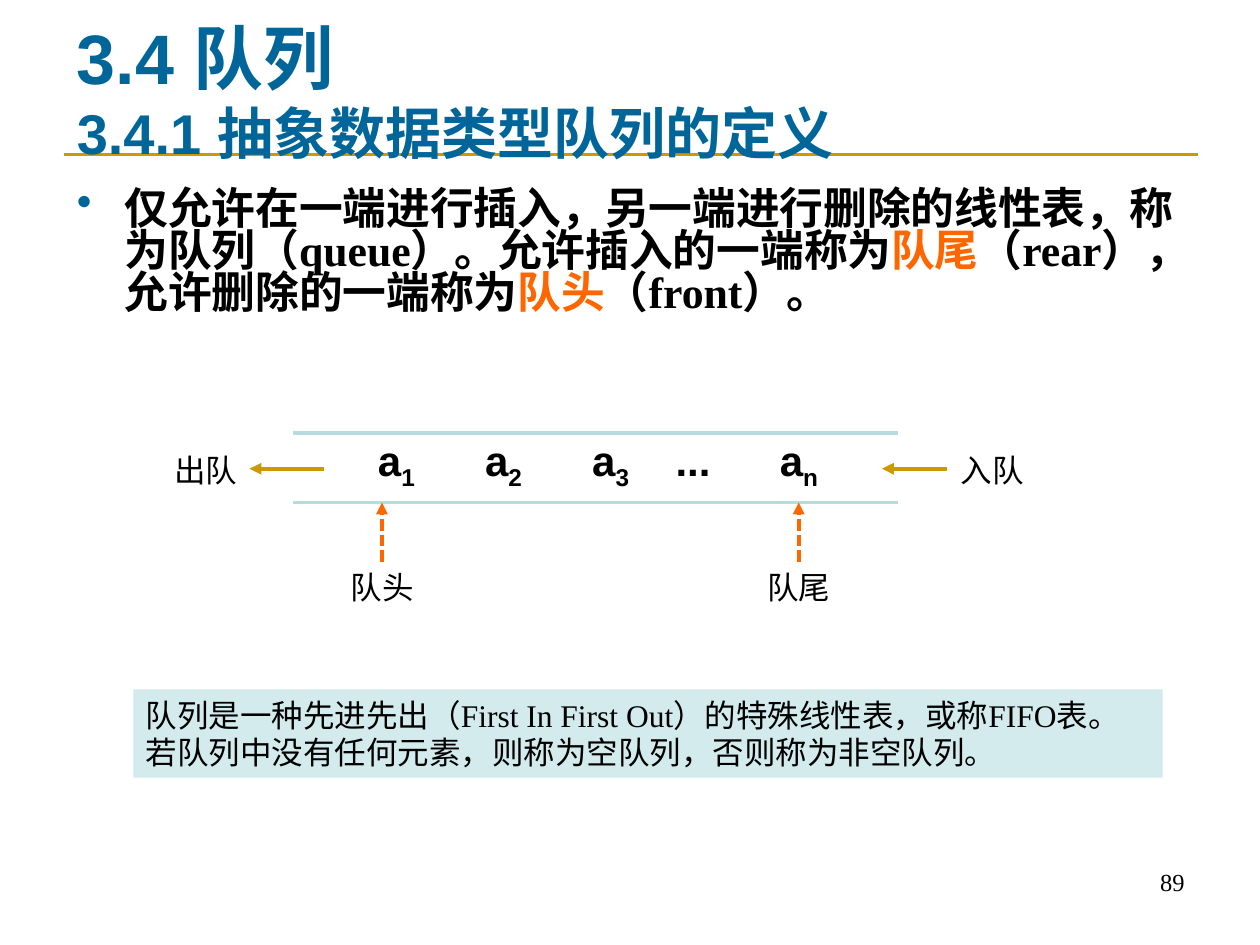
"""Build the slide that defines the queue abstract data type."""
from dataclasses import dataclass
from typing import Optional

import lxml.etree
import pptx
import pptx.dml.color
import pptx.enum.dml
import pptx.enum.lang
import pptx.enum.shapes
import pptx.enum.text
import pptx.oxml.ns
import pptx.util

Cm = pptx.util.Cm
qn = pptx.oxml.ns.qn
ALIGN = pptx.enum.text.PP_ALIGN
ANCHOR = pptx.enum.text.MSO_ANCHOR

COLORS = {
    "title": "006699",
    "text": "000000",
    "accent": "FE6700",
    "gold": "CC9900",
    "rail": "B6DCDF",
    "panel": "9ED3D7",
}


@dataclass(frozen=True)
class Style:
    """Character look of a span."""
    size: float
    font: str = "Times New Roman"
    color: str = "text"
    bold: bool = False


@dataclass(frozen=True)
class Area:
    """Rectangle in centimetres."""
    left: float
    top: float
    width: float
    height: float

    def lengths(self) -> tuple:
        """Return the four sides as lengths."""
        return tuple(Cm(side) for side in (self.left, self.top, self.width, self.height))


@dataclass(frozen=True)
class Line:
    """Straight line in centimetres, with an optional head at its end."""
    start: tuple[float, float]
    end: tuple[float, float]
    color: str
    weight: float = 2.25
    dashed: bool = False
    arrow: bool = False


@dataclass(frozen=True)
class Label:
    """Short caption of the queue diagram."""
    text: str
    left: float
    top: float


TITLE = Style(40, "Arial", "title", True)
SUBTITLE = Style(32, "Arial", "title", True)
BODY = Style(25, bold=True)
KEYWORD = Style(25, color="accent", bold=True)
ITEM = Style(24, "Arial", bold=True)
CAPTION = Style(18, "Arial")
NOTE = Style(18)
NUMBER = Style(14)

RAIL_TOP, RAIL_BOTTOM = 8.73, 10.13
FLOW_Y = 9.45
POINTER_START = 11.33

LINES = [
    Line((1.3, 3.12), (24.16, 3.12), "gold", 1.5),
    *(Line((5.9, y), (18.1, y), "rail") for y in (RAIL_TOP, RAIL_BOTTOM)),
    *(Line((start, FLOW_Y), (end, FLOW_Y), "gold", arrow=True)
      for start, end in ((6.53, 5.03), (19.1, 17.78))),
    *(Line((x, POINTER_START), (x, RAIL_BOTTOM), "accent", dashed=True, arrow=True)
      for x in (7.7, 16.1)),
]

LABELS = [
    Label("出队", 3.25, 8.97),
    Label("入队", 19.1, 8.97),
    Label("队头", 6.81, POINTER_START),
    Label("队尾", 15.2, POINTER_START),
]

DEFINITION = [
    ("仅允许在一端进行插入，另一端进行删除的线性表，称为队列（queue）。允许插入的一端称为", BODY),
    ("队尾", KEYWORD),
    ("（rear），允许删除的一端称为", BODY),
    ("队头", KEYWORD),
    ("（front）。", BODY),
]

ITEMS = [("a", "1"), ("\ta", "2"), ("\ta", "3"), ("\t...", ""), ("\ta", "n")]
ITEM_TABS = [2.16, 4.32, 6.0, 8.1]

NOTES = [
    "队列是一种先进先出（First In First Out）的特殊线性表，或称FIFO表。",
    "若队列中没有任何元素，则称为空队列，否则称为非空队列。",
]


def rgb(name: str) -> pptx.dml.color.RGBColor:
    """Look up a named colour."""
    return pptx.dml.color.RGBColor.from_string(COLORS[name])


def add_span(para, text: str, style: Style, subscript: bool = False) -> None:
    """Append one styled run."""
    span = para.add_run()
    span.text = text
    span.font.size = pptx.util.Pt(style.size)
    span.font.name = style.font
    span.font.bold = style.bold
    span.font.color.rgb = rgb(style.color)
    span.font.language_id = pptx.enum.lang.MSO_LANGUAGE_ID.SIMPLIFIED_CHINESE
    if subscript:
        span._r.get_or_add_rPr().set("baseline", "-25000")


def add_box(page, area: Area, anchor=ANCHOR.TOP, align=ALIGN.LEFT):
    """Add a wrapping text box and return its frame."""
    frame = page.shapes.add_textbox(*area.lengths()).text_frame
    frame.word_wrap = True
    frame.vertical_anchor = anchor
    frame.paragraphs[0].alignment = align
    return frame


def add_line(page, line: Line) -> None:
    """Draw a rule or an arrow."""
    connector = page.shapes.add_connector(
        pptx.enum.shapes.MSO_CONNECTOR.STRAIGHT,
        *(Cm(value) for value in line.start + line.end))
    connector.line.color.rgb = rgb(line.color)
    connector.line.width = pptx.util.Pt(line.weight)
    if line.dashed:
        connector.line.dash_style = pptx.enum.dml.MSO_LINE.SQUARE_DOT
    if line.arrow:
        outline = connector.line._get_or_add_ln()
        lxml.etree.SubElement(outline, qn("a:tailEnd"), type="triangle")
    lxml.etree.SubElement(connector._element.spPr, qn("a:effectLst"))


def add_title(page) -> None:
    """Add the two-line heading."""
    para = add_box(page, Area(1.3, 0.71, 22.86, 2.21), ANCHOR.MIDDLE).paragraphs[0]
    add_span(para, "3.4 队列", TITLE)
    para.add_line_break()
    add_span(para, "3.4.1 抽象数据类型队列的定义", SUBTITLE)


def add_definition(page) -> None:
    """Add the bulleted definition."""
    para = add_box(page, Area(1.3, 3.73, 22.86, 3.61)).paragraphs[0]
    properties = para._p.get_or_add_pPr()
    properties.set("marL", str(Cm(0.96)))
    properties.set("indent", str(Cm(-0.96)))
    bullet_color = lxml.etree.SubElement(properties, qn("a:buClr"))
    lxml.etree.SubElement(bullet_color, qn("a:srgbClr"), val=COLORS["title"])
    lxml.etree.SubElement(properties, qn("a:buChar"), char="•")
    para.line_spacing = 0.8
    for text, style in DEFINITION:
        add_span(para, text, style)


def add_items(page) -> None:
    """Add the queue elements on tab stops."""
    frame = add_box(page, Area(5.77, 8.53, 12.6, 1.6), ANCHOR.MIDDLE)
    frame.margin_left = Cm(1.85)
    para = frame.paragraphs[0]
    tabs = lxml.etree.SubElement(para._p.get_or_add_pPr(), qn("a:tabLst"))
    for stop in ITEM_TABS:
        lxml.etree.SubElement(tabs, qn("a:tab"), pos=str(Cm(stop)), algn="l")
    for text, index in ITEMS:
        add_span(para, text, ITEM)
        if index:
            add_span(para, index, ITEM, subscript=True)


def add_panel(page) -> None:
    """Add the tinted remark."""
    panel = page.shapes.add_shape(
        pptx.enum.shapes.MSO_SHAPE.RECTANGLE, *Area(2.69, 13.9, 20.75, 1.78).lengths())
    panel.shadow.inherit = False
    panel.line.fill.background()
    panel.fill.solid()
    panel.fill.fore_color.rgb = rgb("panel")
    color = panel._element.spPr.find(".//" + qn("a:srgbClr"))
    lxml.etree.SubElement(color, qn("a:alpha"), val="45000")
    frame = panel.text_frame
    frame.word_wrap = False
    frame.auto_size = pptx.enum.text.MSO_AUTO_SIZE.SHAPE_TO_FIT_TEXT
    frame.vertical_anchor = ANCHOR.TOP
    for index, text in enumerate(NOTES):
        para = frame.add_paragraph() if index else frame.paragraphs[0]
        para.alignment = ALIGN.LEFT
        add_span(para, text, NOTE)


def main() -> None:
    """Build and save the deck."""
    deck = pptx.Presentation()
    deck.slide_width, deck.slide_height = Cm(25.4), Cm(19.05)
    page = deck.slides.add_slide(deck.slide_layouts[6])
    for line in LINES:
        add_line(page, line)
    add_title(page)
    add_definition(page)
    add_items(page)
    for label in LABELS:
        frame = add_box(page, Area(label.left, label.top, 1.8, 1), ANCHOR.MIDDLE, ALIGN.CENTER)
        frame.word_wrap = False
        add_span(frame.paragraphs[0], label.text, CAPTION)
    add_panel(page)
    number = add_box(page, Area(18.21, 17.35, 5.92, 1.32), align=ALIGN.RIGHT)
    add_span(number.paragraphs[0], "89", NUMBER)
    deck.save("out.pptx")


if __name__ == "__main__":
    main()
